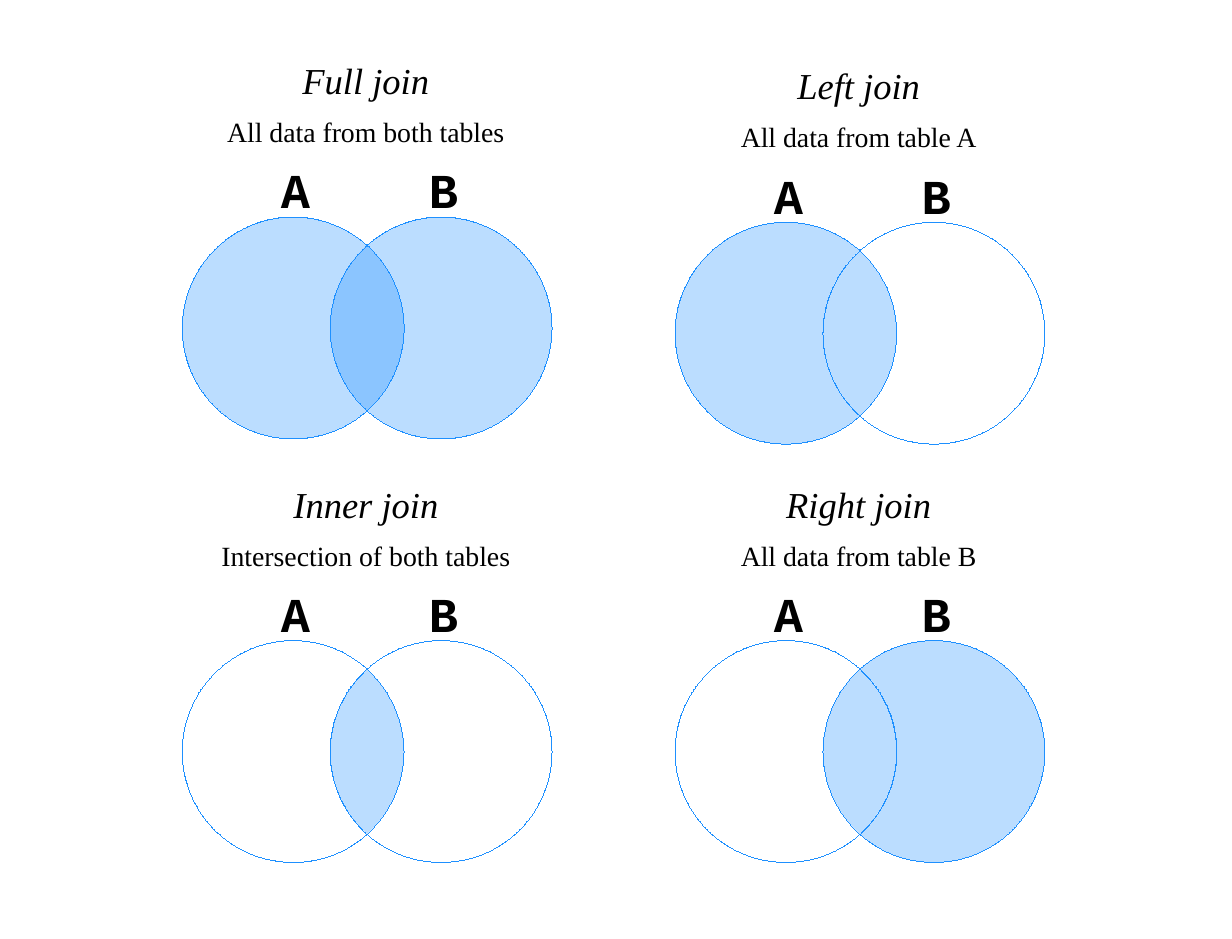
import math
from dataclasses import dataclass

from lxml import etree
from pptx import Presentation
from pptx.dml.color import RGBColor
from pptx.enum import shapes, text
from pptx.oxml import ns
from pptx.util import Pt


@dataclass(frozen=True)
class Theme:
    ink: RGBColor = RGBColor(0x00, 0x00, 0x00)
    paper: RGBColor = RGBColor(0xFF, 0xFF, 0xFF)
    blue: RGBColor = RGBColor(0x1E, 0x90, 0xFF)
    opacity: int = 30
    serif: str = "Times New Roman"
    mono: str = "Courier New"
    heading_size: float = 21
    caption_size: float = 16
    label_size: float = 28


@dataclass(frozen=True)
class Join:
    heading: str
    caption: str
    top: float
    column: int
    filled: str  # circles that are tinted as a whole


THEME = Theme()
PANEL_LEFT, PANEL_STEP, PANEL_WIDTH = 97, 283.4, 226.8
RADIUS = 63.8
CENTRE_GAP = RADIUS * 4 / 3  # distance between the centres of A and B
JOINS = (
    Join("Full join", "All data from both tables", 31, 0, "AB"),
    Join("Left join", "All data from table A", 34, 1, "A"),
    Join("Inner join", "Intersection of both tables", 274.6, 0, ""),
    Join("Right join", "All data from table B", 274.6, 1, "B"),
)


def place(shape, left, top, width, height):
    shape.left, shape.top = Pt(left), Pt(top)
    shape.width, shape.height = Pt(width), Pt(height)


def write_text(shape, content, size, font=THEME.serif, bold=False, italic=False):
    frame = shape.text_frame
    frame.word_wrap = True
    frame.auto_size = text.MSO_AUTO_SIZE.NONE
    frame.vertical_anchor = text.MSO_ANCHOR.MIDDLE
    paragraph = frame.paragraphs[0]
    paragraph.alignment = text.PP_ALIGN.CENTER
    run = paragraph.add_run()
    run.text = content
    run.font.name, run.font.size = font, Pt(size)
    run.font.bold, run.font.italic = bold, italic
    run.font.color.rgb = THEME.ink


def add_text(slide, content, box, **text_format):
    shape = slide.shapes.add_textbox(*map(Pt, box))
    write_text(shape, content, **text_format)


def paint(shape, tinted):
    shape.shadow.inherit = False
    shape.fill.solid()
    shape.fill.fore_color.rgb = THEME.blue if tinted else THEME.paper
    shape.line.color.rgb = THEME.blue
    properties = shape.element.spPr
    # The library drops a zero width, so the hairline is set here
    properties.find(ns.qn("a:ln")).set("w", "0")
    if tinted:
        color = properties.find(ns.qn("a:solidFill")).find(ns.qn("a:srgbClr"))
        alpha = etree.SubElement(color, ns.qn("a:alpha"))
        alpha.set("val", str(THEME.opacity * 1000))


def add_lens(slide, left_centre, middle):
    """Outline the overlap: an arc of circle A, then an arc of circle B."""
    half_angle = math.acos(CENTRE_GAP / 2 / RADIUS)
    steps = 12
    points = []
    for centre, turn in ((left_centre, 0), (left_centre + CENTRE_GAP, math.pi)):
        for step in range(steps):
            angle = turn + half_angle * (2 * step / steps - 1)
            points.append((Pt(centre + RADIUS * math.cos(angle)),
                           Pt(middle + RADIUS * math.sin(angle))))
    builder = slide.shapes.build_freeform(*points[0])
    builder.add_line_segments(points[1:], close=True)
    paint(builder.convert_to_shape(), tinted=True)


def add_venn(slide, left, top, filled):
    circle_lefts = {"A": left, "B": left + CENTRE_GAP}

    # Tinted circles lie below the white ones
    for name in sorted(circle_lefts, key=lambda name: name not in filled):
        circle = slide.shapes.add_shape(
            shapes.MSO_SHAPE.OVAL, Pt(circle_lefts[name]), Pt(top),
            Pt(2 * RADIUS), Pt(2 * RADIUS))
        paint(circle, name in filled)

    # A white circle hides the overlap, so it is tinted on top
    if filled != "AB":
        add_lens(slide, left + RADIUS, top + RADIUS)

    # Circle labels
    for name, circle_left in circle_lefts.items():
        add_text(slide, name, (circle_left + 36.8, top - 34.2, 56.8, 36.8),
                 size=THEME.label_size, font=THEME.mono, bold=True)


def add_panel(slide, join, heading=None):
    left = PANEL_LEFT + join.column * PANEL_STEP
    heading = heading or slide.shapes.add_textbox(0, 0, 0, 0)
    place(heading, left, join.top, PANEL_WIDTH, 30.2)
    write_text(heading, join.heading, THEME.heading_size, italic=True)
    add_text(slide, join.caption, (left, join.top + 23.4, PANEL_WIDTH, 42.5),
             size=THEME.caption_size)
    add_venn(slide, left + 7.8, join.top + 93.8, join.filled)


def main():
    presentation = Presentation()
    presentation.slide_width, presentation.slide_height = Pt(708.5), Pt(540)
    slide = presentation.slides.add_slide(presentation.slide_layouts[5])

    # The first panel's heading takes the title placeholder
    add_panel(slide, JOINS[0], heading=slide.shapes.title)
    for join in JOINS[1:]:
        add_panel(slide, join)
    presentation.save("out.pptx")


if __name__ == "__main__":
    main()
